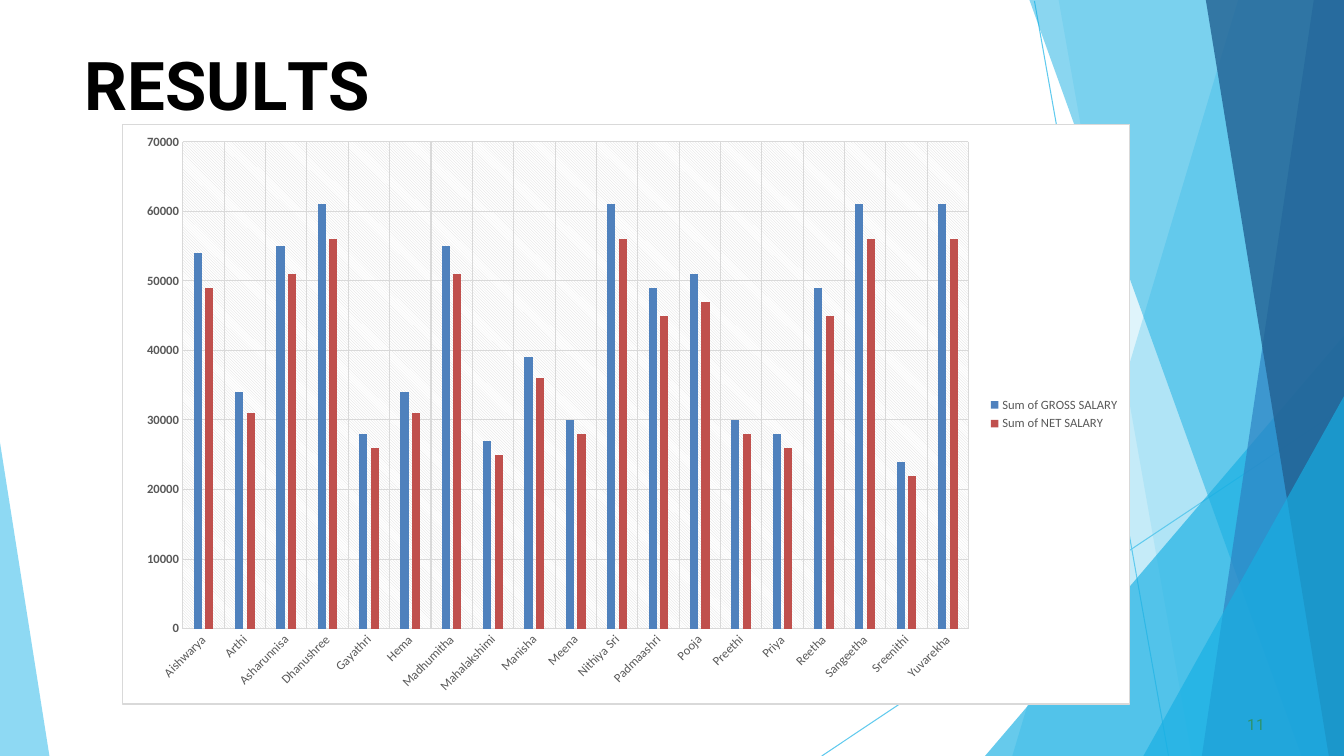
from lxml.etree import SubElement
from pptx import Presentation
from pptx.chart.data import CategoryChartData
from pptx.dml.color import RGBColor
from pptx.enum.chart import XL_CHART_TYPE as ChartType
from pptx.enum.chart import XL_LEGEND_POSITION as LegendPosition
from pptx.enum.chart import XL_TICK_MARK as TickMark
from pptx.enum.shapes import MSO_CONNECTOR as Connector
from pptx.oxml import parse_xml
from pptx.oxml.ns import nsdecls, qn
from pptx.util import Inches, Pt

WIDTH, HEIGHT = 13.33, 7.5
THEME = {
    "sky": "5FCAEE", "cyan": "17AFE3", "blue": "2D83C3", "navy": "226192",
    "green": "2D936B", "black": "000000", "white": "FFFFFF",
    "label": "595959", "rule": "D9D9D9", "gross": "4F81BD", "net": "C0504D",
    "heading_font": "Roboto", "chart_font": "Calibri",
    "title": 48, "number": 11, "chart": 10, "axis": 9, "line": 0.75,
}

RAYS = [((10.26, 0.01), (11.59, HEIGHT)), ((WIDTH, 4.04), (8.15, HEIGHT))]
CORNER = (WIDTH, HEIGHT)
FACETS = [
    ("sky", 36, [(WIDTH, 0), (12.28, 0), (10.04, HEIGHT), CORNER]),
    ("sky", 20, [(WIDTH, 0), (10.5, 0), (11.82, HEIGHT), CORNER]),
    ("cyan", 66, [(WIDTH, 3.33), (9.77, HEIGHT), CORNER]),
    ("cyan", 50, [(WIDTH, 0), (10.21, 0), (12.91, HEIGHT), CORNER]),
    ("blue", 70, [(WIDTH, 0), (13.03, 0), (11.92, HEIGHT), CORNER]),
    ("navy", 80, [(WIDTH, 0), (11.96, 0), (13.18, HEIGHT), CORNER]),
    ("cyan", 66, [(WIDTH, 3.93), (11.34, HEIGHT), CORNER]),
    ("sky", 70, [(0, 4.39), (0, HEIGHT), (0.49, HEIGHT)]),
]

TITLE_RUNS = [("R", 0), ("E", -0.4), ("S", 0.1), ("U", -0.3), ("L", -4), ("TS", 0)]
NUMBER_RUNS = [("11", 0.1)]

SALARIES = [
    ("Aishwarya", 54000, 49000), ("Arthi", 34000, 31000),
    ("Asharunnisa", 55000, 51000), ("Dhanushree", 61000, 56000),
    ("Gayathri", 28000, 26000), ("Hema", 34000, 31000),
    ("Madhumitha", 55000, 51000), ("Mahalakshimi", 27000, 25000),
    ("Manisha", 39000, 36000), ("Meena", 30000, 28000),
    ("Nithiya Sri", 61000, 56000), ("Padmaashri", 49000, 45000),
    ("Pooja", 51000, 47000), ("Preethi", 30000, 28000),
    ("Priya", 28000, 26000), ("Reetha", 49000, 45000),
    ("Sangeetha", 61000, 56000), ("Sreenithi", 24000, 22000),
    ("Yuvarekha", 61000, 56000),
]
SERIES = [("Sum of GROSS SALARY", "gross"), ("Sum of NET SALARY", "net")]
CHART_BOX = (1.21, 1.23, 10, 5.76)
PLOT_LAYOUT = {"x": 0.06, "y": 0.03, "w": 0.78, "h": 0.84}


def color(name):
    return RGBColor.from_string(THEME[name])


def style_font(font, face, size, tint, bold=False):
    font.name = THEME[face]
    font.size = Pt(THEME[size])
    font.color.rgb = color(tint)
    font.bold = bold


def style_line(line, tint):
    line.color.rgb = color(tint)
    line.width = Pt(THEME["line"])


def add_ray(slide, start, end):
    ray = slide.shapes.add_connector(Connector.STRAIGHT, *map(Inches, start + end))
    style_line(ray.line, "sky")
    SubElement(ray._element.spPr, qn("a:effectLst"))


def add_facet(slide, tint, opacity, points):
    corners = [(Inches(x), Inches(y)) for x, y in points]
    builder = slide.shapes.build_freeform(*corners[0])
    builder.add_line_segments(corners[1:], close=True)
    facet = builder.convert_to_shape()
    facet.shadow.inherit = False
    facet.fill.solid()
    facet.fill.fore_color.rgb = color(tint)
    facet.line.fill.background()
    solid = facet._element.spPr.find(qn("a:solidFill"))
    SubElement(solid[0], qn("a:alpha"), val=str(opacity * 1000))


def add_text(slide, box, runs, size, tint, bold, indent, space_before):
    frame = slide.shapes.add_textbox(*map(Inches, box)).text_frame
    frame.word_wrap = True
    frame.margin_left = frame.margin_right = frame.margin_bottom = 0
    frame.margin_top = Inches(0.01)
    paragraph = frame.paragraphs[0]
    paragraph.space_before = Pt(space_before)
    paragraph._p.get_or_add_pPr().set("marL", str(Inches(indent)))
    style_font(paragraph.font, "heading_font", size, tint, bold)
    for text, spacing in runs:
        run = paragraph.add_run()
        run.text = text
        run._r.get_or_add_rPr().set("spc", str(round(spacing * 100)))


def style_axis(axis, bold):
    axis.major_tick_mark = axis.minor_tick_mark = TickMark.NONE
    axis.has_major_gridlines = True
    style_line(axis.major_gridlines.format.line, "rule")
    style_font(axis.tick_labels.font, "chart_font", "axis", "label", bold)


def finish_chart_areas(chart):
    space = chart._chartSpace
    space.xpath("c:chart/c:plotArea/c:catAx/c:txPr/a:bodyPr")[0].set("rot", "-2700000")
    plot_area = space.xpath("c:chart/c:plotArea")[0]
    for layout in plot_area.findall(qn("c:layout")):
        plot_area.remove(layout)
    modes = '<c:layoutTarget val="inner"/><c:xMode val="edge"/><c:yMode val="edge"/>'
    sizes = "".join(f'<c:{key} val="{value}"/>' for key, value in PLOT_LAYOUT.items())
    plot_area.insert(0, parse_xml(
        f'<c:layout {nsdecls("c")}><c:manualLayout>{modes}{sizes}</c:manualLayout></c:layout>'))
    rule, white = (f'<a:srgbClr val="{THEME[name]}"/>' for name in ("rule", "white"))
    plot_area.append(parse_xml(
        f'<c:spPr {nsdecls("c", "a")}><a:pattFill prst="ltDnDiag"><a:fgClr>{rule}</a:fgClr>'
        f'<a:bgClr>{white}</a:bgClr></a:pattFill><a:ln><a:noFill/></a:ln></c:spPr>'))
    space.find(qn("c:chart")).addnext(parse_xml(
        f'<c:spPr {nsdecls("c", "a")}><a:solidFill>{white}</a:solidFill>'
        f'<a:ln w="{Pt(THEME["line"])}"><a:solidFill>{rule}</a:solidFill></a:ln></c:spPr>'))


def add_salary_chart(slide):
    names, *columns = zip(*SALARIES)
    data = CategoryChartData()
    data.categories = names
    for (label, _), values in zip(SERIES, columns):
        data.add_series(label, values)
    chart = slide.shapes.add_chart(
        ChartType.COLUMN_CLUSTERED, *map(Inches, CHART_BOX), data).chart
    chart.has_title = False
    style_font(chart.font, "chart_font", "chart", "black")
    chart.has_legend = True
    chart.legend.position = LegendPosition.RIGHT
    chart.legend.include_in_layout = False
    style_font(chart.legend.font, "chart_font", "axis", "label")

    plot = chart.plots[0]
    plot.gap_width, plot.overlap = 267, -43
    plot.vary_by_categories = False
    for series, (_, tint) in zip(plot.series, SERIES):
        series.format.fill.solid()
        series.format.fill.fore_color.rgb = color(tint)

    style_axis(chart.category_axis, False)
    style_line(chart.category_axis.format.line, "rule")
    style_axis(chart.value_axis, True)
    chart.value_axis.format.line.fill.background()
    chart.value_axis.minimum_scale = 0
    chart.value_axis.maximum_scale = 70000
    chart.value_axis.major_unit = 10000
    finish_chart_areas(chart)


def main():
    presentation = Presentation()
    presentation.slide_width = Inches(WIDTH)
    presentation.slide_height = Inches(HEIGHT)
    slide = presentation.slides.add_slide(presentation.slide_layouts[6])
    for start, end in RAYS:
        add_ray(slide, start, end)
    for tint, opacity, points in FACETS:
        add_facet(slide, tint, opacity, points)
    add_text(slide, (0.83, 0.42, 3.7, 0.81), TITLE_RUNS, "title", "black", True, 0.01, 1.1)
    add_text(slide, (12.33, 7.08, 0.25, 0.21), NUMBER_RUNS, "number", "green", False, 0.04, 0.6)
    add_salary_chart(slide)
    presentation.save("out.pptx")


if __name__ == "__main__":
    main()
